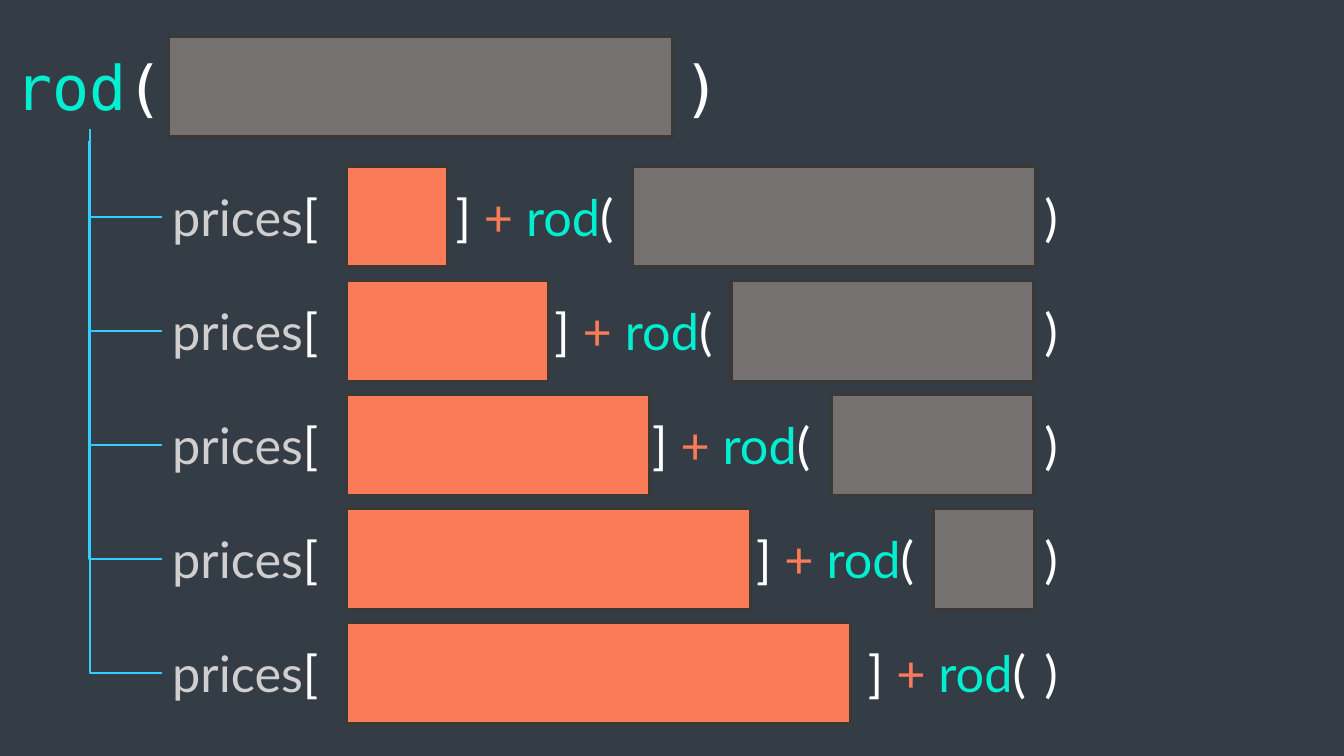
from lxml import etree
from pptx import Presentation
from pptx.dml.color import RGBColor
from pptx.enum.shapes import MSO_CONNECTOR, MSO_SHAPE
from pptx.enum.text import MSO_AUTO_SIZE, PP_ALIGN
from pptx.oxml.ns import qn
from pptx.util import Inches, Pt

RECTANGLE = MSO_SHAPE.RECTANGLE
ELBOW = MSO_CONNECTOR.ELBOW
GROW = MSO_AUTO_SIZE.SHAPE_TO_FIT_TEXT
LEFT, CENTER = PP_ALIGN.LEFT, PP_ALIGN.CENTER

BACKGROUND = RGBColor(0x34, 0x3D, 0x46)
GRAY = RGBColor(0x76, 0x71, 0x71)
OUTLINE = RGBColor(0x3B, 0x38, 0x38)
ORANGE = RGBColor(0xF9, 0x7B, 0x57)
TEAL = RGBColor(0x00, 0xEF, 0xD1)
WHITE = RGBColor(0xFF, 0xFF, 0xFF)
SILVER = RGBColor(0xD0, 0xCE, 0xCE)
BLUE = RGBColor(0x33, 0xCC, 0xFF)

HEADING = ("DejaVu Sans Mono", 44, 0.84)
BODY = ("Lato", 36, 0.71)

ROW_TOP, ROW_PITCH = 1.65, 1.1325
PIECE_LEFT = 3.44
BRANCH_END = 1.61
CLOSE_LEFT = 10.26
TAIL_LEFTS = [4.42, 5.4, 6.37, 7.4, 8.51]
REST_LEFTS = [6.27, 7.25, 8.25, 9.26]
TRUNK_STARTS = [(0.89, 1.28)] * 3 + [(0.88, 1.4), (0.89, 1.28)]


class RodSlide:
    """Draws rods, code text and branches on one slide in a shared style."""

    def __init__(self, deck):
        self.page = deck.slides.add_slide(deck.slide_layouts[6])
        fill = self.page.background.fill
        fill.solid()
        fill.fore_color.rgb = BACKGROUND

    def rod(self, left, top, length, color):
        box = self.page.shapes.add_shape(
            RECTANGLE, Inches(left), Inches(top), Inches(length), Inches(1))
        box.shadow.inherit = False
        box.fill.solid()
        box.fill.fore_color.rgb = color
        box.line.color.rgb = OUTLINE
        box.line.width = Pt(2.25)

    def code(self, left, top, width, spans, style=BODY, align=LEFT):
        font_name, size, height = style
        box = self.page.shapes.add_textbox(
            Inches(left), Inches(top), Inches(width), Inches(height))
        frame = box.text_frame
        frame.word_wrap = True
        frame.auto_size = GROW
        para = frame.paragraphs[0]
        para.alignment = align
        for text, color in spans:
            span = para.add_run()
            span.text = text
            span.font.name = font_name
            span.font.size = Pt(size)
            span.font.color.rgb = color

    def branch(self, start, end):
        (x1, y1), (x2, y2) = start, end
        middle_x, middle_y = (x1 + x2) / 2, (y1 + y2) / 2
        half_run, half_drop = (x2 - x1) / 2, (y2 - y1) / 2
        connector = self.page.shapes.add_connector(
            ELBOW,
            Inches(middle_x + half_drop), Inches(middle_y - half_run),
            Inches(middle_x - half_drop), Inches(middle_y + half_run))
        connector.line.color.rgb = BLUE
        connector.line.width = Pt(1.5)
        properties = connector.element.spPr
        properties.find(qn("a:xfrm")).set("rot", str(270 * 60000))
        properties.find(qn("a:prstGeom")).set("prst", "bentConnector2")
        etree.SubElement(properties, qn("a:effectLst"))


def main():
    deck = Presentation()
    deck.slide_width, deck.slide_height = Inches(13.33), Inches(7.5)
    slide = RodSlide(deck)

    slide.rod(1.67, 0.36, 5, GRAY)
    slide.code(-0.47, 0.44, 2.72, [("rod", TEAL), ("(", WHITE)], HEADING, CENTER)
    slide.code(6.67, 0.44, 0.58, [(")", WHITE)], HEADING, CENTER)

    for row, tail_left in enumerate(TAIL_LEFTS):
        top = ROW_TOP + row * ROW_PITCH
        text_top = top + 0.145
        if row < len(REST_LEFTS):
            slide.rod(REST_LEFTS[row], top, 4 - row, GRAY)
        slide.rod(PIECE_LEFT, top, row + 1, ORANGE)
        slide.code(BRANCH_END, text_top, 3.29, [("prices", SILVER), ("[", WHITE)])
        slide.code(tail_left, text_top, 1.95,
                   [("] ", WHITE), ("+ ", ORANGE), ("rod", TEAL), ("(", WHITE)])
        slide.code(CLOSE_LEFT, text_top, 0.41, [(")", WHITE)])

    for row, start in enumerate(TRUNK_STARTS):
        slide.branch(start, (BRANCH_END, ROW_TOP + row * ROW_PITCH + 0.5))

    deck.save("out.pptx")


if __name__ == "__main__":
    main()
